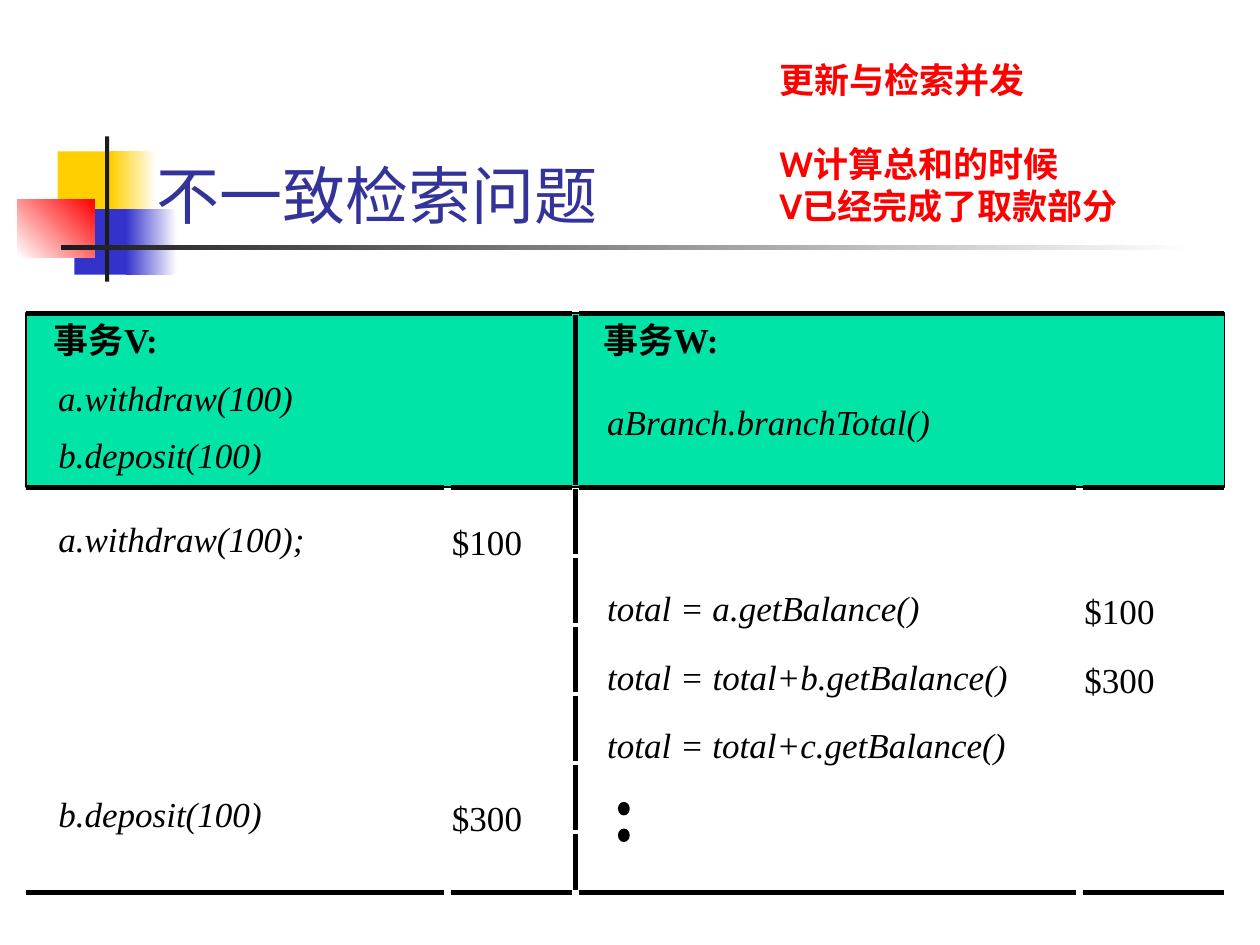
from lxml.etree import SubElement
from pptx import Presentation
from pptx.dml.color import RGBColor
from pptx.enum.shapes import MSO_CONNECTOR, MSO_SHAPE
from pptx.enum.text import MSO_ANCHOR, MSO_AUTO_SIZE, PP_ALIGN
from pptx.oxml.ns import qn
from pptx.util import Pt

THEME = {
    "heading_font": "Cabin", "body_font": "Times New Roman",
    "title_size": 36, "body_size": 20,
    "title": "333399", "note": "FF0000", "ink": "000000", "header": "00E4A8",
    "yellow": "FFCF01", "blue": "3333CC", "red": "FF0000",
    "charcoal": "1C1C1C", "white": "FFFFFF",
}

TITLE = "不一致检索问题"
NOTE = ["更新与检索并发", "W计算总和的时候", "V已经完成了取款部分"]

# Left, top, width, height, fill colours (two make a gradient), angle
DECORATION = [
    (33, 86.5, 34.5, 37.5, ["yellow"], 0),
    (63.5, 86.5, 26, 37.5, ["yellow", "white"], 0),
    (42.5, 119.5, 33, 37.5, ["blue"], 0),
    (72, 119.5, 29, 37.5, ["blue", "white"], 0),
    (10, 113.8, 44, 33.4, ["white", "red"], 45),
    (60, 78, 2.4, 83, ["charcoal"], 0),
    (34.8, 140.2, 648, 2.4, ["charcoal", "white"], 0),
]

# Text, left, top, width, style
HEADER = [
    ("事务V:", 30.8, 182, 74, {"bold": True}),
    ("a.withdraw(100)", 33.3, 215, 138, {"italic": True}),
    ("b.deposit(100)", 33.3, 247.7, 121, {"italic": True}),
    ("事务W:", 345, 182, 79, {"bold": True}),
    ("aBranch.branchTotal()", 347, 229, 190, {"italic": True}),
]

# Row, transaction, operation, operation width, amount
STEPS = [
    (0, "V", "a.withdraw(100);", 145, "$100"),
    (1, "W", "total = a.getBalance()", 183, "$100"),
    (2, "W", "total = total+b.getBalance()", 234, "$300"),
    (3, "W", "total = total+c.getBalance()", 233, None),
    (4, "V", "b.deposit(100)", 121, "$300"),
]
OPERATION_LEFT = {"V": 33.3, "W": 347}
AMOUNT_LEFT = {"V": 258.3, "W": 619.7}
AMOUNT_WIDTH = 44

LEFT, RIGHT = 15, 699.7
V_AMOUNT, DIVIDER, W_AMOUNT = 255.6, 328.7, 617
HEADER_TOP, BODY_TOP, BOTTOM = 179, 278.4, 509.8
ROW_PITCH, ROW_COUNT = 39.4, 6
FIRST_OPERATION, OPERATION_PITCH, TEXT_HEIGHT = 295.7, 39.3, 24
RULE_WIDTH, COLUMN_GAP, ROW_GAP = 2.86, 2, 1.3


def colour(name):
    return RGBColor.from_string(THEME[name])


def write(frame, lines, *, font="body_font", size="body_size", ink="ink",
          bold=False, italic=False, gaps=()):
    for index, line in enumerate(lines):
        paragraph = frame.paragraphs[0] if index == 0 else frame.add_paragraph()
        paragraph.alignment = PP_ALIGN.LEFT
        if index in gaps:
            paragraph.space_before = Pt(gaps[index])
        run = paragraph.add_run()
        run.text = line
        run.font.name = THEME[font]
        run.font.size = Pt(THEME[size])
        run.font.bold = bold
        run.font.italic = italic
        run.font.color.rgb = colour(ink)


def add_label(slide, text, left, top, width, **style):
    box = slide.shapes.add_textbox(Pt(left), Pt(top), Pt(width), Pt(TEXT_HEIGHT))
    frame = box.text_frame
    frame.margin_left = frame.margin_right = frame.margin_top = frame.margin_bottom = 0
    frame.word_wrap = True
    write(frame, [text], **style)


def add_block(slide, left, top, width, height, fills, angle=0,
              kind=MSO_SHAPE.RECTANGLE, outline=None):
    block = slide.shapes.add_shape(kind, Pt(left), Pt(top), Pt(width), Pt(height))
    block.shadow.inherit = False
    if len(fills) == 1:
        block.fill.solid()
        block.fill.fore_color.rgb = colour(fills[0])
    else:
        block.fill.gradient()
        block.fill.gradient_angle = angle
        for stop, position, name in zip(block.fill.gradient_stops, (0, 1), fills):
            stop.position = position
            stop.color.rgb = colour(name)
    if outline:
        block.line.color.rgb = colour("ink")
        block.line.width = Pt(outline)
    else:
        block.line.fill.background()


def add_rule(slide, x1, y1, x2, y2):
    rule = slide.shapes.add_connector(
        MSO_CONNECTOR.STRAIGHT, Pt(x1), Pt(y1), Pt(x2), Pt(y2))
    rule.line.color.rgb = colour("ink")
    rule.line.width = Pt(RULE_WIDTH)
    SubElement(rule.element.spPr, qn("a:effectLst"))


def add_rules(slide):
    """Draw the broken rules: a gap at each column and row boundary."""
    all_columns = [LEFT, V_AMOUNT, DIVIDER, W_AMOUNT, RIGHT]
    for y, edges in [(HEADER_TOP, [LEFT, DIVIDER, RIGHT]),
                     (BODY_TOP, all_columns), (BOTTOM, all_columns)]:
        for start, end in zip(edges, edges[1:]):
            add_rule(slide, start + COLUMN_GAP * (start != LEFT), y,
                     end - COLUMN_GAP * (end != RIGHT), y)
    row_edges = [HEADER_TOP]
    row_edges += [BODY_TOP + ROW_PITCH * row for row in range(ROW_COUNT)]
    row_edges.append(BOTTOM)
    for start, end in zip(row_edges, row_edges[1:]):
        add_rule(slide, DIVIDER, start + ROW_GAP, DIVIDER, end - ROW_GAP)


def add_title(slide):
    title = slide.shapes.title
    title.left, title.top, title.width, title.height = Pt(82), Pt(65.5), Pt(533), Pt(70.5)
    frame = title.text_frame
    frame.vertical_anchor = MSO_ANCHOR.BOTTOM
    frame.word_wrap = True
    frame.auto_size = MSO_AUTO_SIZE.NONE
    write(frame, [TITLE], font="heading_font", size="title_size", ink="title")
    # Bring the title in front of the decoration
    title.element.getparent().append(title.element)


def add_note(slide):
    note = slide.shapes.add_textbox(Pt(438.3), Pt(30), Pt(209), Pt(104))
    note.text_frame.word_wrap = True
    write(note.text_frame, NOTE, font="heading_font", ink="note", bold=True, gaps={1: 24})


def main():
    deck = Presentation()
    deck.slide_width, deck.slide_height = Pt(720), Pt(540)
    slide = deck.slides.add_slide(deck.slide_layouts[5])

    for block in DECORATION:
        add_block(slide, *block)
    add_block(slide, LEFT, HEADER_TOP, RIGHT - LEFT, BODY_TOP - HEADER_TOP,
              ["header"], outline=1)
    add_title(slide)

    for text, left, top, width, style in HEADER:
        add_label(slide, text, left, top, width, **style)
    for row, transaction, operation, width, amount in STEPS:
        top = FIRST_OPERATION + OPERATION_PITCH * row
        add_label(slide, operation, OPERATION_LEFT[transaction], top, width, italic=True)
        if amount:
            add_label(slide, amount, AMOUNT_LEFT[transaction], top + 2, AMOUNT_WIDTH)
    add_rules(slide)
    for dot_top in (458.6, 473.8):
        add_block(slide, 353.5, dot_top, 6, 7, ["ink"], kind=MSO_SHAPE.OVAL, outline=0.75)
    add_note(slide)

    deck.save("out.pptx")


if __name__ == "__main__":
    main()
